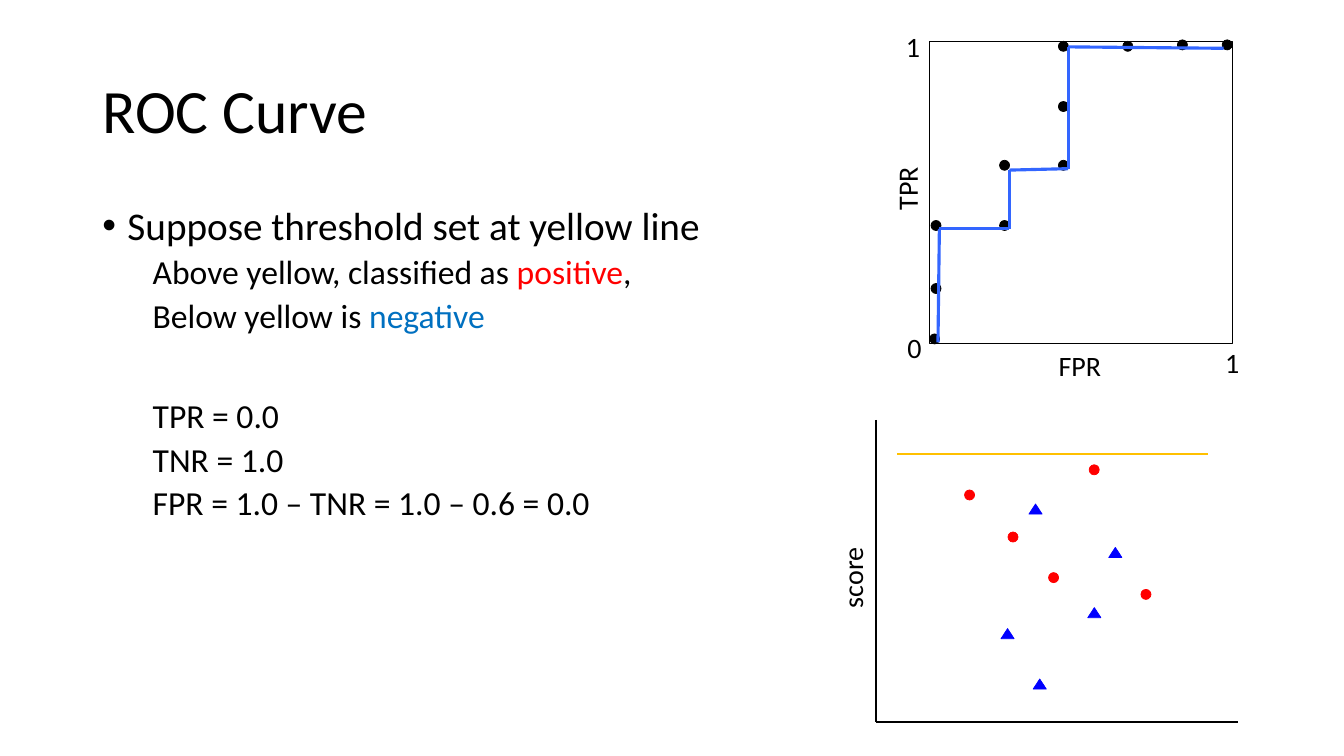
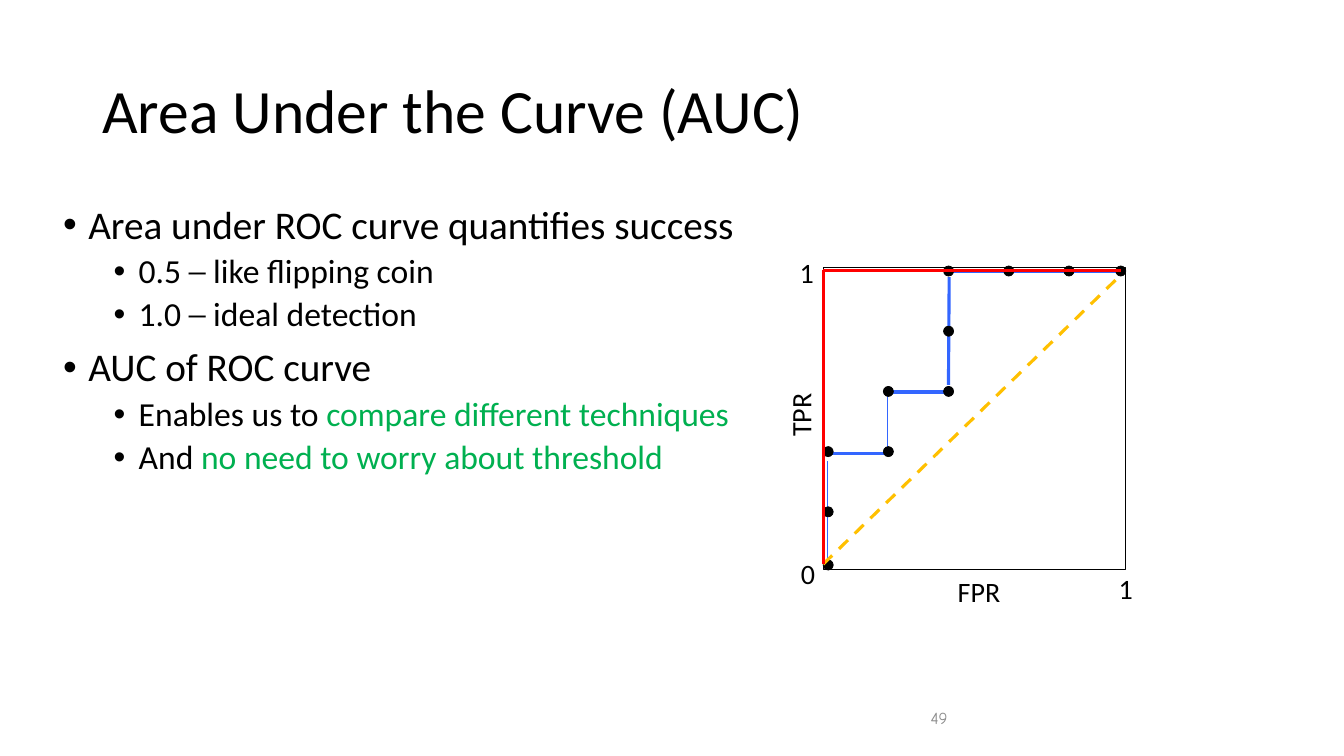
from itertools import pairwise

from lxml import etree
from pptx import Presentation
from pptx.dml.color import RGBColor
from pptx.enum import dml, shapes, text
from pptx.oxml.ns import qn
from pptx.util import Pt

FONT = "Calibri"
BLACK, RED, GREEN = "000000", "FF0000", "00B050"
BLUE, GOLD = "3366FF", "FFC000"
SIDE = 216   # side of a ROC plot
DOT = 7.2    # width of a point mark
OVAL = shapes.MSO_SHAPE.OVAL
WEDGE = shapes.MSO_SHAPE.ISOSCELES_TRIANGLE
# Left indent, first line, size, space before and bullet of each text level
LEVELS = {
    "main": (18, -18, 28, 10, True),
    "sub": (54, -18, 24, 5, True),
    "plain": (36, 0, 24, 5, False),
}


def rgb(code):
    return RGBColor.from_string(code)


def style(font, size, color=BLACK, name=FONT):
    font.name, font.size = name, Pt(size)
    font.color.rgb = rgb(color)


def frame(slide, box, wrap=True):
    tf = slide.shapes.add_textbox(*map(Pt, box)).text_frame
    tf.word_wrap = wrap
    return tf


# Basic marks
def mark(slide, kind, box, line, fill=None):
    item = slide.shapes.add_shape(kind, *map(Pt, box))
    item.shadow.inherit = False
    item.line.color.rgb = rgb(line)
    item.line.width = Pt(0.5)
    if fill:
        item.fill.solid()
        item.fill.fore_color.rgb = rgb(fill)
    else:
        item.fill.background()


def marks(slide, org, kind, spots, color, wide=DOT):
    for x, y in spots:
        mark(slide, kind, (org[0] + x, org[1] + y, wide, DOT), color, color)


def line(slide, org, start, end, color, width=2.25, dash=False):
    ends = [Pt(o + v) for spot in (start, end) for o, v in zip(org, spot)]
    item = slide.shapes.add_connector(shapes.MSO_CONNECTOR.STRAIGHT, *ends)
    item.line.color.rgb = rgb(color)
    item.line.width = Pt(width)
    if dash:
        item.line.dash_style = dml.MSO_LINE.DASH
    etree.SubElement(item._element.spPr, qn("a:effectLst"))


def label(slide, org, words, mid, wide=24, turn=0):
    high = 32
    box = slide.shapes.add_textbox(
        Pt(org[0] + mid[0] - wide / 2), Pt(org[1] + mid[1] - high / 2),
        Pt(wide), Pt(high))
    box.rotation = turn
    tf = box.text_frame
    tf.word_wrap = False
    tf.auto_size = text.MSO_AUTO_SIZE.SHAPE_TO_FIT_TEXT
    tf.text = words
    style(tf.paragraphs[0].runs[0].font, 20)


# Text regions
def title(slide, words):
    tf = frame(slide, (66, 29, 828, 104))
    tf.vertical_anchor = text.MSO_ANCHOR.MIDDLE
    tf.text = words
    para = tf.paragraphs[0]
    para.line_spacing = 0.9
    style(para.runs[0].font, 44)


def body(slide, box, rows):
    """Each row: level, extra space before, then (words, colour) parts."""
    tf = frame(slide, box)
    for i, (level, extra, *parts) in enumerate(rows):
        left, first, size, gap, dot = LEVELS[level]
        para = tf.add_paragraph() if i else tf.paragraphs[0]
        props = para._p.get_or_add_pPr()
        props.set("marL", str(Pt(left)))
        props.set("indent", str(Pt(first)))
        if dot:
            etree.SubElement(props, qn("a:buFont"), typeface="Arial")
            etree.SubElement(props, qn("a:buChar"), char="•")
        para.line_spacing = 0.9
        para.space_before = Pt(gap + extra if i else 0)
        for words, color in parts:
            run = para.add_run()
            run.text = words
            style(run.font, size, color)


def number(slide, words):
    tf = frame(slide, (516, 498, 168, 29))
    tf.vertical_anchor = text.MSO_ANCHOR.MIDDLE
    tf.text = words
    para = tf.paragraphs[0]
    para.alignment = text.PP_ALIGN.RIGHT
    style(para.runs[0].font, 12, "8C8C8C", "Comic Neue")


# Plot regions
def axes(slide, org, mid):
    """Square ROC frame; mid is the centre of the lower label."""
    mark(slide, shapes.MSO_SHAPE.RECTANGLE, (*org, SIDE, SIDE), BLACK)
    label(slide, org, "TPR", (-16, 104), 48, 270)
    label(slide, org, "FPR", (mid, 232), 48)
    label(slide, org, "1", (SIDE, 230))
    label(slide, org, "1", (-12, 4))
    label(slide, org, "0", (-11, 219))


def scores(slide, org):
    wide, high = 258, 216
    for start, end in pairwise([(0, 0), (0, high), (wide, high)]):
        line(slide, org, start, end, BLACK, 1.5)
    label(slide, org, "score", (-17, 112), 59, 270)
    marks(slide, org, WEDGE,
          [(89, 149), (109, 60), (151, 134), (166, 91), (112, 185)],
          "0000FF", 9.4)
    marks(slide, org, OVAL,
          [(63, 50), (152, 32), (94, 80), (123, 109), (189, 121)], RED)
    line(slide, org, (15, 24.5), (237, 24.5), GOLD, 1.5)


# Slides
def curve(slide):
    title(slide, "ROC Curve")
    body(slide, (66, 144, 828, 343), [
        ("main", 0, ("Suppose threshold set at yellow line", BLACK)),
        ("plain", 0, ("Above yellow, classified as ", BLACK),
         ("positive", RED), (",", BLACK)),
        ("plain", 0, ("Below yellow is ", BLACK), ("negative", "0070C0")),
        ("plain", 41, ("TPR = 0.0", BLACK)),
        ("plain", 0, ("TNR = 1.0", BLACK)),
        ("plain", 0, ("FPR = 1.0 – TNR = 1.0 – 0.6 = 0.0", BLACK)),
    ])
    scores(slide, (626, 300))
    org = (664, 29.5)
    axes(slide, org, 109)
    marks(slide, org, OVAL, [
        (209, -1), (177, -1), (138, 0), (92, 0), (92, 43), (92, 85),
        (50, 85), (50, 128), (1, 128), (1, 173), (0, 209)], BLACK)
    steps = [(6, 215), (7, 134), (57, 134), (57, 92), (99, 91), (99, 4),
             (210, 5)]
    for start, end in pairwise(steps):
        line(slide, org, start, end, BLUE)


def area(slide):
    title(slide, "Area Under the Curve (AUC)")
    body(slide, (38, 143, 500, 360), [
        ("main", 0, ("Area under ROC curve quantifies success", BLACK)),
        ("sub", 0, ("0.5 ─ like flipping coin", BLACK)),
        ("sub", 0, ("1.0 ─ ideal detection", BLACK)),
        ("main", 0, ("AUC of ROC curve", BLACK)),
        ("sub", 0, ("Enables us to ", BLACK),
         ("compare different techniques", GREEN)),
        ("sub", 0, ("And ", BLACK),
         ("no need to worry about threshold", GREEN)),
    ])
    number(slide, "49")
    org = (588, 191)
    for start, end, width in [
            ((3, 215), (3, 138), 1), ((4, 133), (46, 133), 2.25),
            ((46, 130), (46, 92), 1), ((47, 89), (90, 89), 2.25),
            ((89.5, 84), (90, 7), 2.25), ((90, 3), (214, 3), 2.25)]:
        line(slide, org, start, end, BLUE, width)
    axes(slide, org, 113)
    step = 43
    spots = [(0, 209)]
    spots += [(c * step, r * step - 1) for c, r in [
        (0, 4), (0, 3), (1, 3), (1, 2), (2, 2), (2, 1), (2, 0), (3, 0),
        (4, 0)]]
    marks(slide, org, OVAL, spots + [(209, -1)], BLACK)
    # Chance line and ideal curve
    line(slide, org, (0, 212), (212, 6), GOLD, dash=True)
    for start, end in pairwise([(0, 212), (0, 2), (213, 2)]):
        line(slide, org, start, end, RED)


def main():
    deck = Presentation()
    deck.slide_width, deck.slide_height = Pt(960), Pt(540)
    for build in (curve, area):
        build(deck.slides.add_slide(deck.slide_layouts[6]))
    deck.save("out.pptx")


if __name__ == "__main__":
    main()
